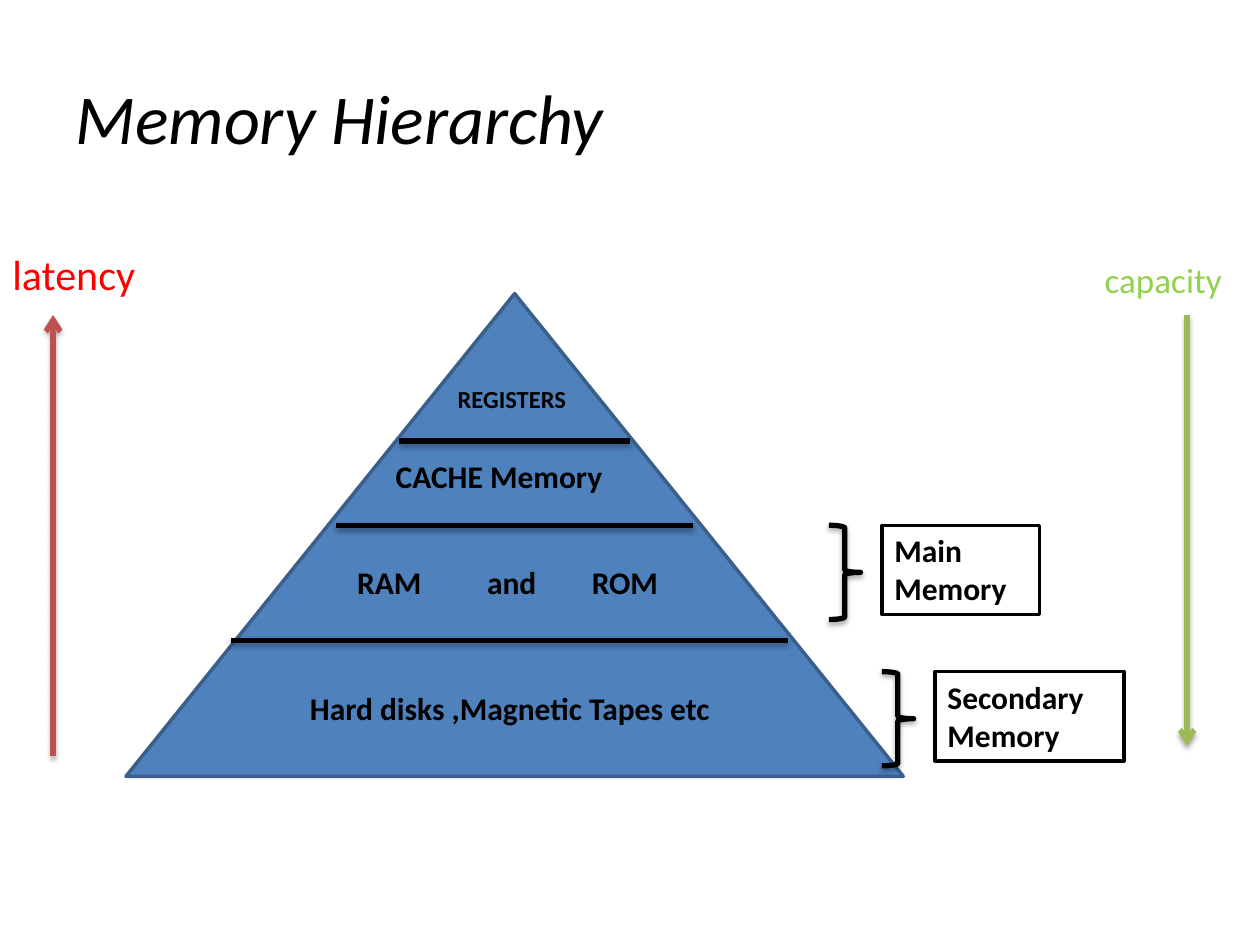
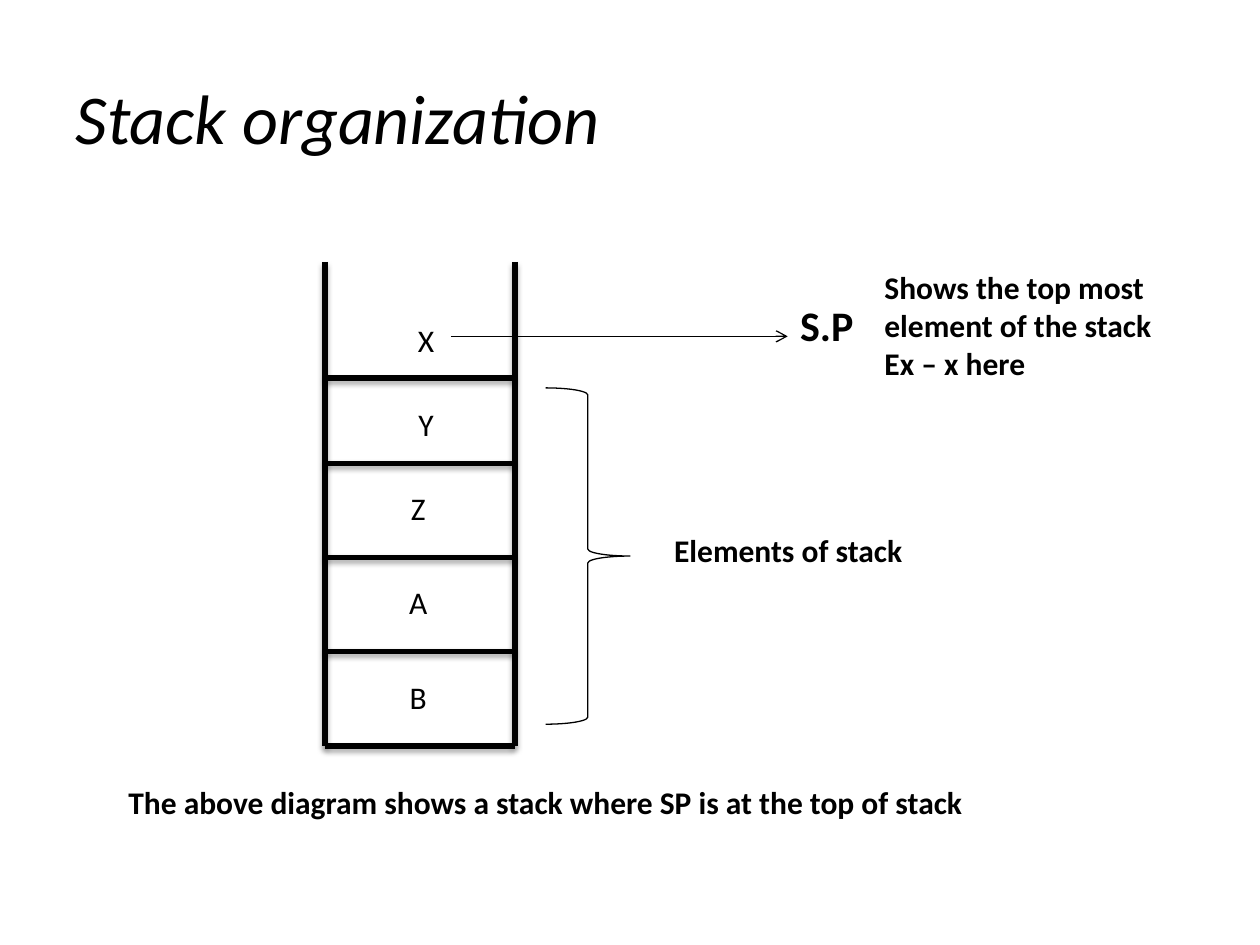
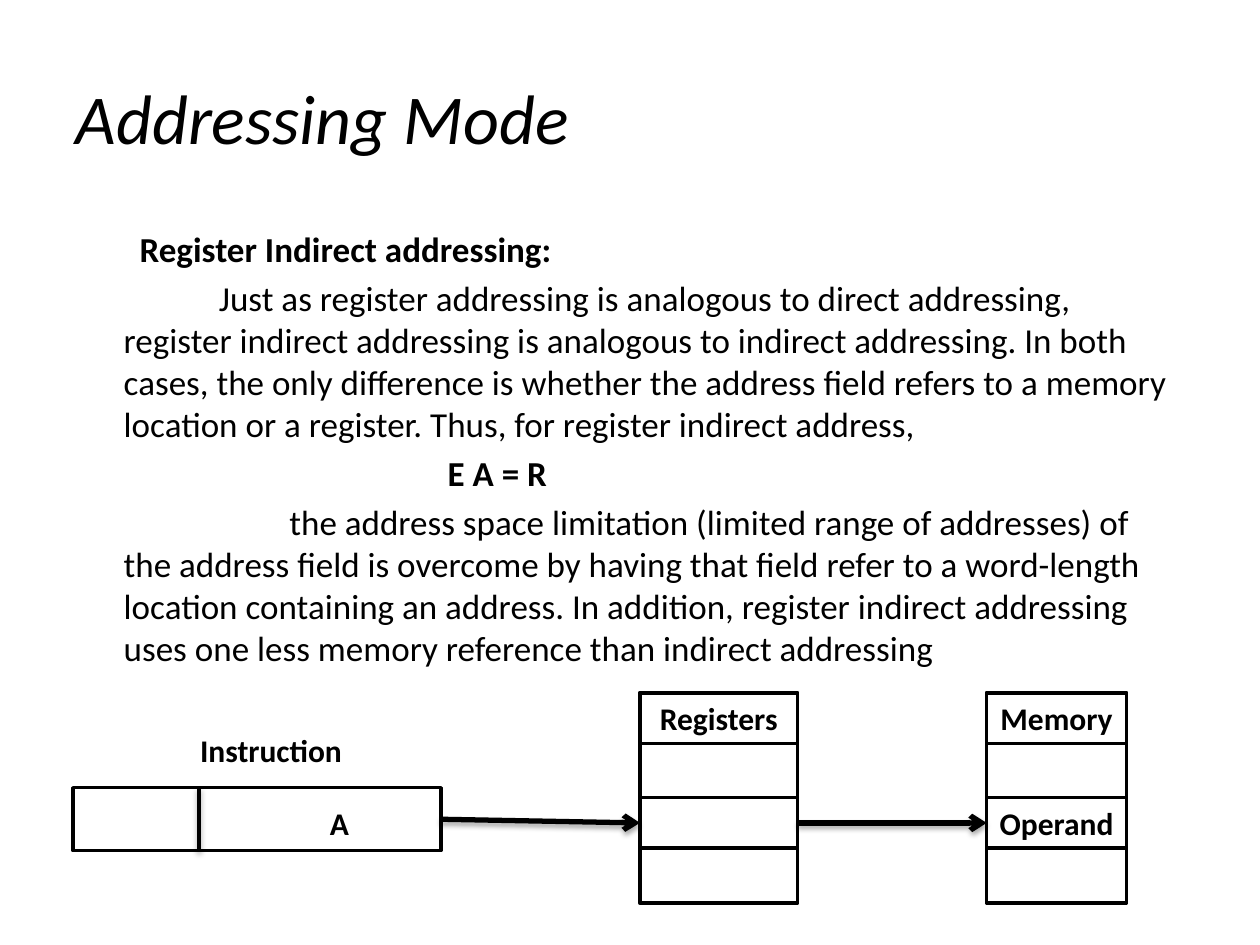
from lxml.etree import SubElement
from pptx import Presentation
from pptx.dml.color import RGBColor
from pptx.enum.shapes import MSO_CONNECTOR, MSO_SHAPE
from pptx.enum.text import MSO_ANCHOR, MSO_AUTO_SIZE, PP_ALIGN
from pptx.oxml.ns import qn
from pptx.util import Cm, Pt

BLACK = RGBColor(0x00, 0x00, 0x00)
WHITE = RGBColor(0xFF, 0xFF, 0xFF)
BLUE = RGBColor(0x4F, 0x81, 0xBD)
DARK_BLUE = RGBColor(0x3A, 0x5F, 0x8C)
BRICK = RGBColor(0xC0, 0x50, 0x4D)
RED = RGBColor(0xFF, 0x00, 0x00)
OLIVE = RGBColor(0x9B, 0xBB, 0x59)
LIME = RGBColor(0x92, 0xD0, 0x50)
FONT = "Calibri"
TITLE_ONLY = 5
TITLE_AND_BODY = 1


def format_font(font, size, bold=False, color=BLACK, italic=False):
    """Apply the deck typeface with the given look."""
    font.name = FONT
    font.size = Pt(size)
    font.bold = bold
    font.italic = italic
    font.color.rgb = color


def write_lines(text_frame, lines, size, bold, color, alignment):
    """Write one paragraph per line into a wrapping, top-anchored frame."""
    text_frame.word_wrap = True
    text_frame.vertical_anchor = MSO_ANCHOR.TOP
    for index, line in enumerate(lines):
        paragraph = text_frame.add_paragraph() if index else text_frame.paragraphs[0]
        paragraph.alignment = alignment
        run = paragraph.add_run()
        run.text = line
        format_font(run.font, size, bold, color)


def add_titled_slide(presentation, title, layout=TITLE_ONLY):
    """Add a slide with the shared italic, left-aligned title."""
    slide = presentation.slides.add_slide(presentation.slide_layouts[layout])
    shape = slide.shapes.title
    shape.left, shape.top, shape.width, shape.height = Cm(1.27), Cm(0.76), Cm(22.86), Cm(3.18)
    shape.text_frame.vertical_anchor = MSO_ANCHOR.MIDDLE
    paragraph = shape.text_frame.paragraphs[0]
    paragraph.alignment = PP_ALIGN.LEFT
    run = paragraph.add_run()
    run.text = title
    format_font(run.font, 40, italic=True)
    return slide


def add_label(slide, lines, left, top, width, height=1.02, size=18, bold=True,
              color=BLACK, alignment=PP_ALIGN.LEFT):
    """Add a text box that grows with its lines."""
    label = slide.shapes.add_textbox(Cm(left), Cm(top), Cm(width), Cm(height))
    write_lines(label.text_frame, lines, size, bold, color, alignment)
    label.text_frame.auto_size = MSO_AUTO_SIZE.SHAPE_TO_FIT_TEXT
    return label


def add_tab_stops(paragraph, positions):
    """Give a paragraph left tab stops."""
    tab_list = SubElement(paragraph._p.get_or_add_pPr(), qn("a:tabLst"))
    for position in positions:
        SubElement(tab_list, qn("a:tab"), pos=str(Cm(position)), algn="l")


def set_effects(shape, shadowed):
    """Replace the theme shadow by a soft drop shadow or by none."""
    properties = shape._element.spPr
    for effects in properties.findall(qn("a:effectLst")):
        properties.remove(effects)
    effects = SubElement(properties, qn("a:effectLst"))
    if shadowed:
        shadow = SubElement(effects, qn("a:outerShdw"), blurRad=str(Pt(3.1)),
                            dist=str(Pt(1.8)), dir="5400000", rotWithShape="0")
        color = SubElement(shadow, qn("a:srgbClr"), val=str(BLACK))
        SubElement(color, qn("a:alpha"), val="35000")


def add_line(slide, start, end, width=3, color=BLACK, arrow=False, shadowed=True):
    """Add a straight line, optionally with an arrowhead at its end."""
    line = slide.shapes.add_connector(
        MSO_CONNECTOR.STRAIGHT, *(Cm(value) for value in (*start, *end)))
    line.line.color.rgb = color
    line.line.width = Pt(width)
    if arrow:
        SubElement(line._element.spPr.find(qn("a:ln")), qn("a:tailEnd"), type="arrow")
    set_effects(line, shadowed)
    return line


def add_outlined_shape(slide, kind, left, top, width, height, fill=WHITE,
                       line_color=BLACK, line_width=2, shadowed=False):
    """Add a preset shape with a plain outline."""
    shape = slide.shapes.add_shape(kind, Cm(left), Cm(top), Cm(width), Cm(height))
    if fill is None:
        shape.fill.background()
    else:
        shape.fill.solid()
        shape.fill.fore_color.rgb = fill
    shape.line.color.rgb = line_color
    shape.line.width = Pt(line_width)
    set_effects(shape, shadowed)
    return shape


def add_box(slide, left, top, width, height, text=None, alignment=PP_ALIGN.CENTER):
    """Add a white box with an optional bold caption."""
    box = add_outlined_shape(slide, MSO_SHAPE.RECTANGLE, left, top, width, height)
    if text:
        write_lines(box.text_frame, [text], 18, True, BLACK, alignment)
    return box


def add_brace(slide, left, top, width, height, line_width=3, shadowed=True):
    """Add a right brace."""
    add_outlined_shape(slide, MSO_SHAPE.RIGHT_BRACE, left, top, width, height,
                       None, BLACK, line_width, shadowed)


def add_storage_column(slide, header, left, width, content=None):
    """Add a four-cell column and return the cell that is addressed."""
    add_box(slide, left, 13.97, width, 4.24)
    addressed_cell = add_box(slide, left, 16.08, width, 1.02, content)
    add_box(slide, left, 13.97, width, 1.02, header)
    return addressed_cell


def add_joined_arrow(slide, source, target):
    """Join the right side of one box to the left side of another."""
    arrow = add_line(slide, (0, 0), (1, 1), arrow=True)
    arrow.begin_connect(source, 3)
    arrow.end_connect(target, 1)


def fill_body(slide, entries):
    """Fill the body with unbulleted paragraphs of text, first-line indent and weight."""
    body = slide.placeholders[1]
    body.left, body.top, body.width, body.height = Cm(1.27), Cm(4.45), Cm(22.86), Cm(12.57)
    for index, (text, indent, bold) in enumerate(entries):
        paragraph = body.text_frame.add_paragraph() if index else body.text_frame.paragraphs[0]
        paragraph.space_before = Pt(4 if index else 0)
        properties = paragraph._p.get_or_add_pPr()
        properties.set("marL", str(Cm(0.97)))
        properties.set("indent", str(Cm(indent)))
        SubElement(properties, qn("a:buNone"))
        run = paragraph.add_run()
        run.text = text
        format_font(run.font, 20, bold)


def build_memory_hierarchy(presentation):
    """Build the memory pyramid with its latency and capacity arrows."""
    slide = add_titled_slide(presentation, "Memory Hierarchy")
    add_outlined_shape(slide, MSO_SHAPE.ISOSCELES_TRIANGLE, 2.54, 5.92, 15.67, 9.73,
                       BLUE, DARK_BLUE)
    for left, right, top in ((8.05, 12.7, 8.89), (6.78, 13.97, 10.59), (4.65, 15.88, 12.91)):
        add_line(slide, (left, top), (right, top))
    for text, left, top, width, size in (
            ("REGISTERS", 7.78, 7.62, 5.08, 14),
            ("CACHE Memory", 6.15, 9.09, 7.82, 18),
            ("Hard disks ,Magnetic Tapes etc", 2.34, 13.77, 15.88, 18)):
        add_label(slide, [text], left, top, width, size=size, alignment=PP_ALIGN.CENTER)
    main_memory = add_label(slide, ["RAM\tand\tROM"], 6.95, 11.23, 7.62)
    add_tab_stops(main_memory.text_frame.paragraphs[0], (2.62, 4.73))
    add_line(slide, (1.07, 15.24), (1.07, 6.35), color=BRICK, arrow=True)
    add_label(slide, ["latency"], 0, 4.88, 3.18, 1.27, 24, False, RED)
    add_line(slide, (23.93, 6.35), (23.93, 15.04), color=OLIVE, arrow=True)
    add_label(slide, ["capacity"], 22.02, 5.08, 3.38, 1.12, 20, False, LIME)
    for text, brace_left, top, width in (
            ("Main Memory", 16.71, 10.59, 3.18), ("Secondary Memory", 17.78, 13.54, 3.81)):
        add_brace(slide, brace_left, top, 0.64, 1.9)
        add_box(slide, brace_left + 1.07, top, width, 1.8, text, PP_ALIGN.LEFT)


def build_stack_organization(presentation):
    """Build the stack with its pointer and captions."""
    slide = add_titled_slide(presentation, "Stack organization")
    left, right, bottom = 6.55, 10.38, 15.04
    for wall in (left, right):
        add_line(slide, (wall, 5.28), (wall, bottom))
    for floor in (*(bottom - 1.9 * level for level in range(4)), 7.62):
        add_line(slide, (left, floor), (right, floor))
    add_line(slide, (9.09, 6.78), (15.88, 6.78), 0.75, arrow=True, shadowed=False)
    add_label(slide, ["Shows the top most element of the stack", "Ex – x here"],
              17.58, 5.28, 6.98, 2.57)
    add_label(slide, ["S.P"], 15.88, 5.92, 1.9, 1.27, 24)
    for element, element_left, top in (("X", 7.42, 6.35), ("Y", 7.42, 8.05), ("Z", 7.26, 9.73),
                                       ("A", 7.26, 11.63), ("B", 7.26, 13.54)):
        add_label(slide, [element], element_left, top, 2.34, bold=False,
                  alignment=PP_ALIGN.CENTER)
    add_brace(slide, 11, 7.82, 1.7, 6.78, 0.75, False)
    add_label(slide, ["Elements of stack"], 13.34, 10.59, 6.55)
    add_label(slide, ["The above diagram shows a stack where SP is at the top of stack"],
              2.34, 15.67, 17.98)


def build_addressing_mode(presentation):
    """Build the explanation of register indirect addressing and its diagram."""
    slide = add_titled_slide(presentation, "Addressing Mode", TITLE_AND_BODY)
    fill_body(slide, (
        ("Register Indirect addressing:", 0.32, True),
        ("Just as register addressing is analogous to direct addressing, register indirect "
         "addressing is analogous to indirect addressing. In both cases, the only difference "
         "is whether the address field refers to a memory location or a register. Thus, for "
         "register indirect address,", 1.92, False),
        ("E A = R", 6.53, True),
        ("the address space limitation (limited range of addresses) of the address field is "
         "overcome by having that field refer to a word-length location containing an address. "
         "In addition, register indirect addressing uses one less memory reference than "
         "indirect addressing", 3.34, False)))
    instruction = add_box(slide, 1.47, 15.88, 7.42, 1.27)
    add_line(slide, (4.01, 15.88), (4.01, 17.15), 2)
    add_label(slide, ["Instruction"], 3.61, 14.61, 3.71, alignment=PP_ALIGN.CENTER)
    add_label(slide, ["A"], 5.51, 16.08, 2.67, alignment=PP_ALIGN.CENTER)
    operand = add_storage_column(slide, "Memory", 19.89, 2.82, "Operand")
    register = add_storage_column(slide, "Registers", 12.9, 3.18)
    add_joined_arrow(slide, instruction, register)
    add_joined_arrow(slide, register, operand)


def main():
    """Build and save the presentation."""
    presentation = Presentation()
    presentation.slide_width = Cm(25.4)
    presentation.slide_height = Cm(19.05)
    build_memory_hierarchy(presentation)
    build_stack_organization(presentation)
    build_addressing_mode(presentation)
    presentation.save("out.pptx")


if __name__ == "__main__":
    main()
